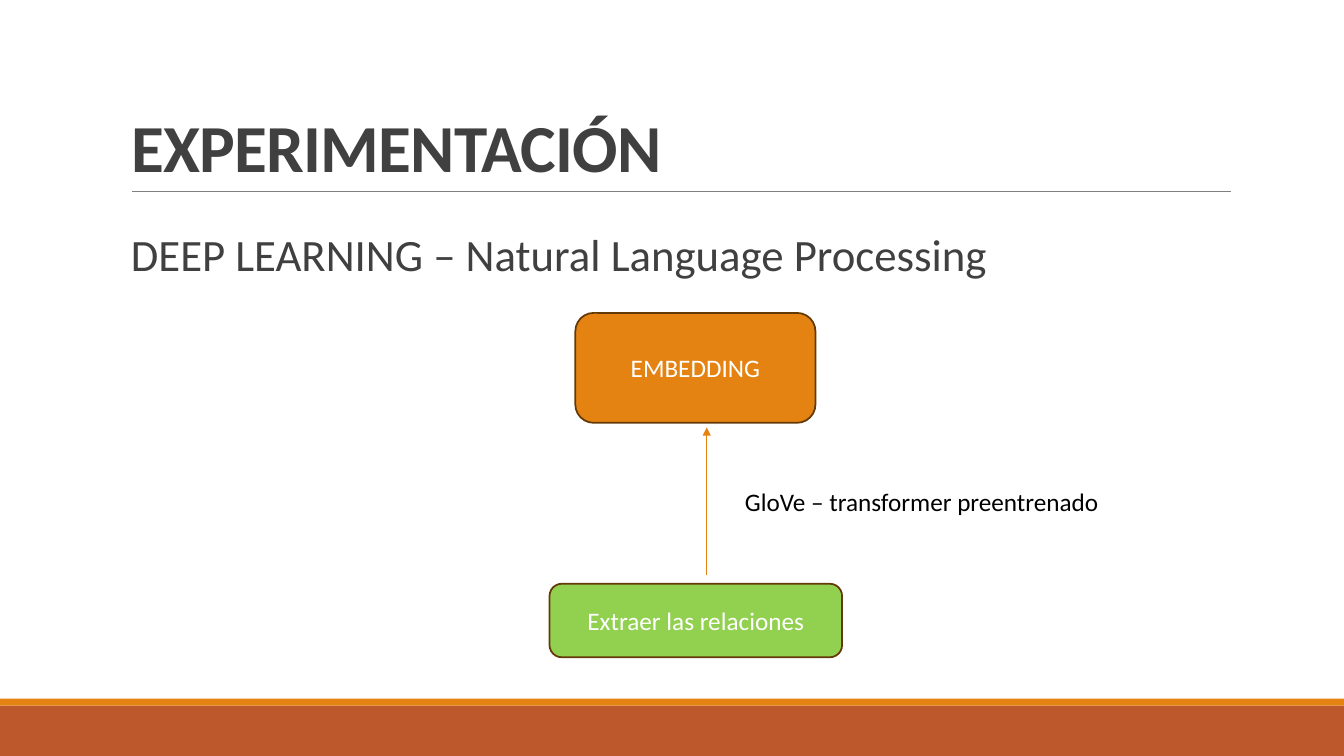
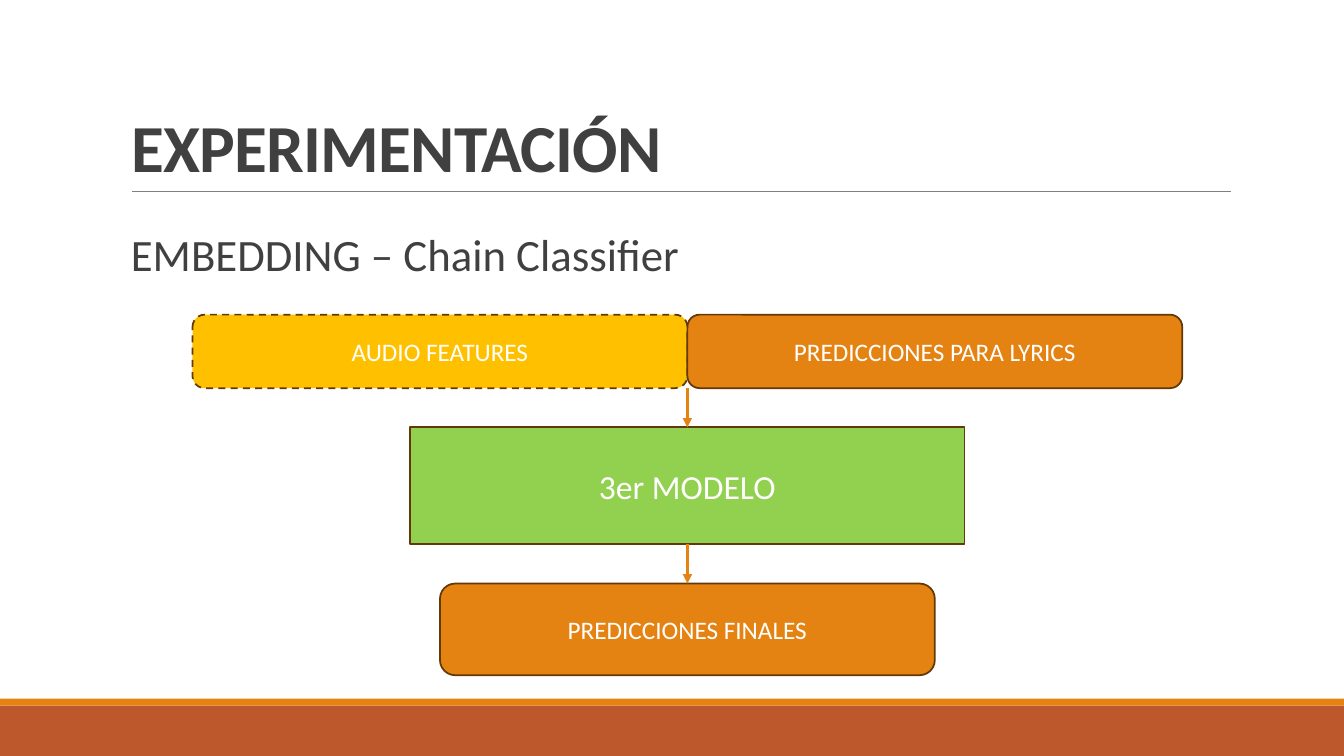
from pptx import Presentation
from pptx.dml.color import RGBColor
from pptx.enum import dml, shapes, text
from pptx.oxml.ns import qn
from pptx.util import Pt
from lxml import etree

# Shared style
FONT = "Calibri"
ORANGE, RUST, GREEN, YELLOW = "E48312", "BD582C", "92D050", "FFC000"
BROWN, DARK, GRAY, WHITE, BLACK = "643908", "404040", "808080", "FFFFFF", "000000"
ROUND, RECT = shapes.MSO_SHAPE.ROUNDED_RECTANGLE, shapes.MSO_SHAPE.RECTANGLE
WIDTH, HEIGHT = 960, 540
TOP, BOTTOM = 0, 2  # connection sites
BANDS = [(504, 36, RUST), (499, 5, ORANGE)]  # top, height, colour

# Chain layout: three centred rows with equal gaps
CENTER, FIRST_TOP, GAP = 491, 224.8, 28
INPUT_H, MODEL_H, FINAL_H = 52.5, 83.5, 65.5
BAR_W, MODEL_W = 353.5, 396
MODEL_TOP = FIRST_TOP + INPUT_H + GAP
FINAL_TOP = MODEL_TOP + MODEL_H + GAP

# Content: boxes are (text, shape, fill, size, dashed, (left, top, width, height));
# an arrow end is a point or (box text, site)
SLIDES = [
    {
        "title": "EXPERIMENTACIÓN",
        "subtitle": "DEEP LEARNING – Natural Language Processing",
        "boxes": [
            ("EMBEDDING", ROUND, ORANGE, 18, False, (411, 223.5, 171.5, 78.5)),
            ("Extraer las relaciones", ROUND, GREEN, 18, False, (392.5, 417, 209, 52.5)),
        ],
        "arrows": [((504.8, 411), (504.8, 305.3))],
        "arrow_width": 1,
        "notes": [("GloVe – transformer preentrenado", (525, 343.5, 300, 29))],
    },
    {
        "title": "EXPERIMENTACIÓN",
        "subtitle": "EMBEDDING – Chain Classifier",
        "boxes": [
            ("AUDIO FEATURES", ROUND, YELLOW, 18, True,
             (CENTER - BAR_W, FIRST_TOP, BAR_W, INPUT_H)),
            ("PREDICCIONES PARA LYRICS", ROUND, ORANGE, 18, False,
             (CENTER, FIRST_TOP, BAR_W, INPUT_H)),
            ("3er MODELO", RECT, GREEN, 24, False,
             (CENTER - MODEL_W / 2, MODEL_TOP, MODEL_W, MODEL_H)),
            ("PREDICCIONES FINALES", ROUND, ORANGE, 18, False,
             (CENTER - BAR_W / 2, FINAL_TOP, BAR_W, FINAL_H)),
        ],
        "arrows": [
            ((CENTER, FIRST_TOP + INPUT_H), ("3er MODELO", TOP)),
            (("3er MODELO", BOTTOM), ("PREDICCIONES FINALES", TOP)),
        ],
        "arrow_width": 2.25,
        "notes": [],
    },
]


def rgb(value):
    return RGBColor.from_string(value)


def write(shape, words, size, color, bold=False, align=text.PP_ALIGN.LEFT,
          anchor=text.MSO_ANCHOR.TOP, spacing=1.0):
    frame = shape.text_frame
    frame.text = words
    frame.word_wrap = True
    frame.auto_size = text.MSO_AUTO_SIZE.NONE
    frame.vertical_anchor = anchor
    paragraph = frame.paragraphs[0]
    paragraph.alignment, paragraph.line_spacing = align, spacing
    run = paragraph.runs[0]
    run.font.name, run.font.size, run.font.bold = FONT, Pt(size), bold
    run.font.color.rgb = rgb(color)
    return run


def add_block(slide, kind, area, fill):
    block = slide.shapes.add_shape(kind, *map(Pt, area))
    block.shadow.inherit = False
    block.fill.solid()
    block.fill.fore_color.rgb = rgb(fill)
    block.line.fill.background()
    return block


def add_box(slide, words, kind, fill, size, dashed, area):
    box = add_block(slide, kind, area, fill)
    box.line.color.rgb = rgb(BROWN)
    box.line.width = Pt(1.25)
    if dashed:
        box.line.dash_style = dml.MSO_LINE.DASH
    write(box, words, size, WHITE, align=text.PP_ALIGN.CENTER,
          anchor=text.MSO_ANCHOR.MIDDLE)
    return box


def add_text(slide, words, area, size, color, spacing=1.0):
    label = slide.shapes.add_textbox(*map(Pt, area))
    write(label, words, size, color, spacing=spacing)


def add_line(slide, start, end, color, width):
    line = slide.shapes.add_connector(shapes.MSO_CONNECTOR.STRAIGHT,
                                      *map(Pt, (*start, *end)))
    line.line.color.rgb = rgb(color)
    line.line.width = Pt(width)
    etree.SubElement(line._element.spPr, qn("a:effectLst"))
    return line


def add_arrow(slide, start, end, boxes, width):
    points = [(0, 0) if point[0] in boxes else point for point in (start, end)]
    arrow = add_line(slide, *points, ORANGE, width)
    for point, connect in ((start, arrow.begin_connect), (end, arrow.end_connect)):
        if point[0] in boxes:
            connect(boxes[point[0]], point[1])
    etree.SubElement(arrow.line._get_or_add_ln(), qn("a:tailEnd"), type="triangle")


def add_frame(slide, title, subtitle):
    """Bands, rule, title and subtitle common to every slide."""
    for top, height, color in BANDS:
        add_block(slide, RECT, (0, top, WIDTH, height), color)
    add_line(slide, (94.5, 136.5), (879, 136.5), GRAY, 0.5)
    heading = slide.shapes.title
    heading.left, heading.top, heading.width, heading.height = map(
        Pt, (86.4, 22.5, 792, 114.2))
    run = write(heading, title, 48, DARK, bold=True,
                anchor=text.MSO_ANCHOR.BOTTOM, spacing=0.85)
    run._r.get_or_add_rPr().set("spc", "-50")
    add_text(slide, subtitle, (86.4, 162.7, 792, 44), 32, DARK, spacing=0.9)


def build(deck, content):
    slide = deck.slides.add_slide(deck.slide_layouts[5])
    add_frame(slide, content["title"], content["subtitle"])
    boxes = {box[0]: add_box(slide, *box) for box in content["boxes"]}
    for start, end in content["arrows"]:
        add_arrow(slide, start, end, boxes, content["arrow_width"])
    for words, area in content["notes"]:
        add_text(slide, words, area, 18, BLACK)


def main():
    deck = Presentation()
    deck.slide_width, deck.slide_height = Pt(WIDTH), Pt(HEIGHT)
    for content in SLIDES:
        build(deck, content)
    deck.save("out.pptx")


if __name__ == "__main__":
    main()
